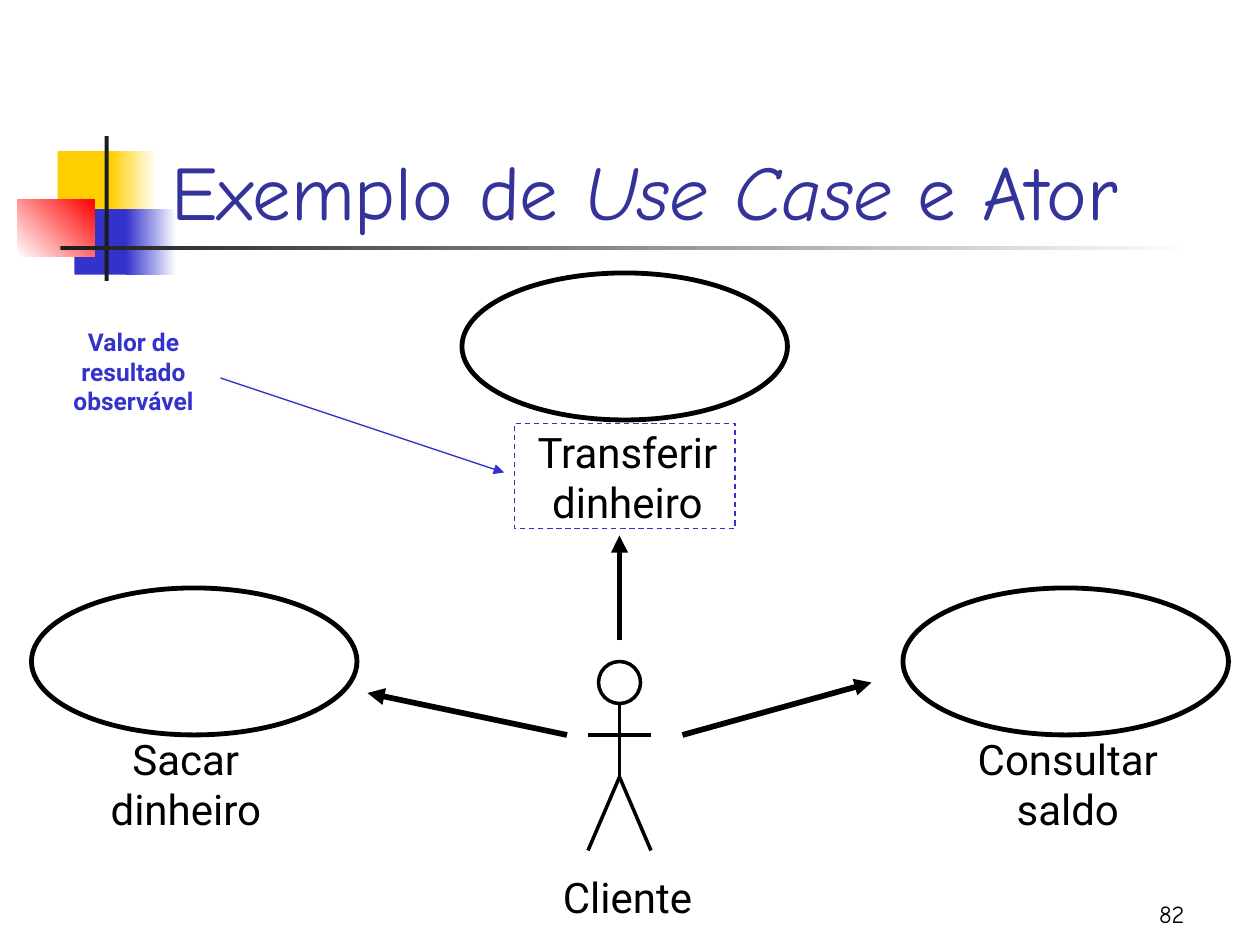
"""Build the use case and actor slide on a grid of twelve cells to the inch."""
from dataclasses import dataclass
from typing import Any, NamedTuple

from lxml import etree
from pptx import Presentation, util as u
from pptx.dml.color import RGBColor
from pptx.enum import dml, shapes, text
from pptx.oxml.ns import qn

COLS, ROWS = 120, 90
KIND = shapes.MSO_SHAPE
SIDE = text.PP_ALIGN


@dataclass(frozen=True)
class Theme:
    """Colours, fonts and sizes of the slide."""
    ink: str = "000000"
    dark: str = "1C1C1C"
    blue: str = "3333CC"
    navy: str = "333399"
    gold: str = "FFCF01"
    red: str = "FF0000"
    white: str = "FFFFFF"
    head: str = "Comic Neue"
    body: str = "Roboto"
    title: int = 44
    label: int = 24
    small: int = 14
    thin: float = 0.75
    limb: float = 2
    edge: float = 2.75
    bold: float = 3.25


class Box(NamedTuple):
    """A place in columns and rows."""
    x: float
    y: float
    w: float
    h: float


class Block(NamedTuple):
    """A plain or fading block of the title ornament."""
    box: Box
    hues: tuple[str, ...]
    angle: float = 0


class Label(NamedTuple):
    """A text with its place and look."""
    box: Box
    lines: tuple[str, ...]
    size: int
    font: str
    color: str
    bold: bool = False
    align: Any = SIDE.CENTER
    anchor: Any = text.MSO_ANCHOR.TOP
    wrap: bool = False


class Path(NamedTuple):
    """A straight line between two grid points."""
    x1: float
    y1: float
    x2: float
    y2: float
    width: float
    color: str
    arrow: bool = True


T = Theme()

BLOCKS = (
    Block(Box(5.5, 14.4, 5.76, 6.24), (T.gold,)),
    Block(Box(10.56, 14.4, 4.32, 6.24), (T.gold, T.white)),
    Block(Box(7.08, 19.92, 5.52, 6.24), (T.blue,)),
    Block(Box(12, 19.92, 4.8, 6.24), (T.blue, T.white)),
    Block(Box(1.68, 18.96, 7.32, 5.52), (T.white, T.red), 45),
    Block(Box(9.96, 12.96, 0.4, 13.8), (T.dark,)),
    Block(Box(5.76, 23.4, 108, 0.4), (T.dark, T.white)),
)
CASES = [Box(x, y, 31, 14) for x, y in ((44, 26), (3, 56), (86, 56))]
LIMBS = [Path(*ends, T.limb, T.ink, False) for ends in (
    (59, 74, 59, 67), (56, 81, 59, 74), (62, 81, 59, 74), (56, 70, 62, 70))]
ARROWS = [Path(*ends, T.bold, T.ink) for ends in (
    (59, 61, 59, 51), (54, 70, 35, 66), (65, 70, 83, 65))]
LABELS = [Label(box, lines, T.label, T.body, T.ink) for box, lines in (
    (Box(52.08, 82.44, 15.36, 6), ("Cliente",)),
    (Box(49.32, 40, 20.88, 10.8), ("Transferir", "dinheiro")),
    (Box(8.64, 69.24, 18.12, 10.8), ("Sacar", "dinheiro")),
    (Box(91.44, 69.24, 20.52, 10.8), ("Consultar", "saldo")))]
LABELS += [
    Label(Box(5.16, 30.6, 15.12, 9.6), ("Valor de", "resultado", "observável"),
          T.small, T.body, T.blue, True),
    Label(Box(89, 83.04, 25, 6), ("82",), T.small, T.head, T.ink,
          align=SIDE.RIGHT, anchor=text.MSO_ANCHOR.BOTTOM, wrap=True),
]


def cell(n: float) -> int:
    """Turn grid cells into a length."""
    return u.Inches(n / 12)


def apply(item: Any, form: dict[str, Any]) -> None:
    """Set each named value on an item."""
    for name, value in form.items():
        setattr(item, name, value)


def rgb(code: str) -> RGBColor:
    """Read a colour code."""
    return RGBColor.from_string(code)


def style(font: Any, name: str, size: int, color: str, **more: bool) -> None:
    """Format a font."""
    apply(font, {"name": name, "size": u.Pt(size), **more})
    font.color.rgb = rgb(color)


def stroke(line: Any, width: float, color: str) -> None:
    """Format an outline or a line."""
    line.width = u.Pt(width)
    line.color.rgb = rgb(color)


def shape(host: Any, kind: Any, box: Box) -> Any:
    """Add a preset shape without a shadow."""
    item = host.add_shape(kind, *map(cell, box))
    item.shadow.inherit = False
    return item


def block(host: Any, spec_: Block) -> None:
    """Draw one block of the ornament."""
    item = shape(host, KIND.RECTANGLE, spec_.box)
    item.line.fill.background()
    if len(spec_.hues) == 1:
        item.fill.solid()
        item.fill.fore_color.rgb = rgb(spec_.hues[0])
        return
    item.fill.gradient()
    item.fill.gradient_angle = spec_.angle
    for stop, hue in zip(item.fill.gradient_stops, spec_.hues):
        stop.color.rgb = rgb(hue)


def frame(host: Any, kind: Any, box: Box, width: float, color: str) -> Any:
    """Draw an outline without a fill."""
    item = shape(host, kind, box)
    item.fill.background()
    stroke(item.line, width, color)
    return item


def link(host: Any, way: Path) -> None:
    """Draw a line, with an arrowhead if wanted."""
    item = host.add_connector(shapes.MSO_CONNECTOR.STRAIGHT, *map(cell, way[:4]))
    stroke(item.line, way.width, way.color)
    props = item.element.spPr
    if way.arrow:
        etree.SubElement(props.find(qn("a:ln")), qn("a:tailEnd"), type="triangle")
    etree.SubElement(props, qn("a:effectLst"))


def write(host: Any, label: Label) -> None:
    """Add a text, one paragraph for each line."""
    body = host.add_textbox(*map(cell, label.box)).text_frame
    fit = text.MSO_AUTO_SIZE.NONE if label.wrap else text.MSO_AUTO_SIZE.SHAPE_TO_FIT_TEXT
    apply(body, {"text": "\n".join(label.lines), "word_wrap": label.wrap,
                 "auto_size": fit, "vertical_anchor": label.anchor})
    for para in body.paragraphs:
        para.alignment = label.align
        style(para.runs[0].font, label.font, label.size, label.color, bold=label.bold)


def head(title: Any) -> None:
    """Place and fill the title."""
    box = Box(15.12, 8.04, 102.24, 15)
    apply(title, dict(zip(("left", "top", "width", "height"), map(cell, box))))
    apply(title.text_frame, {"vertical_anchor": text.MSO_ANCHOR.BOTTOM,
                             "word_wrap": True, "auto_size": text.MSO_AUTO_SIZE.NONE})
    para = title.text_frame.paragraphs[0]
    para.alignment = SIDE.LEFT
    for words, slant in (("Exemplo de ", False), ("Use Case", True), (" e Ator", False)):
        run = para.add_run()
        run.text = words
        style(run.font, T.head, T.title, T.navy, italic=slant)


def main() -> None:
    """Build and save the slide."""
    deck = Presentation()
    apply(deck, {"slide_width": cell(COLS), "slide_height": cell(ROWS)})
    slide = deck.slides.add_slide(deck.slide_layouts[5])
    host = slide.shapes
    for item in BLOCKS:
        block(host, item)
    head(host.title)
    for box in CASES:
        frame(host, KIND.OVAL, box, T.edge, T.ink)
    actor = host.add_group_shape().shapes
    frame(actor, KIND.OVAL, Box(57, 63, 4, 4), T.limb, T.ink)
    for limb in LIMBS:
        link(actor, limb)
    for label in LABELS:
        write(host, label)
    for way in ARROWS:
        link(host, way)
    note = frame(host, KIND.RECTANGLE, Box(49, 40.32, 21, 10), T.thin, T.blue)
    note.line.dash_style = dml.MSO_LINE.DASH
    link(host, Path(21, 36, 48, 45, T.thin, T.blue))
    deck.save("out.pptx")


if __name__ == "__main__":
    main()
